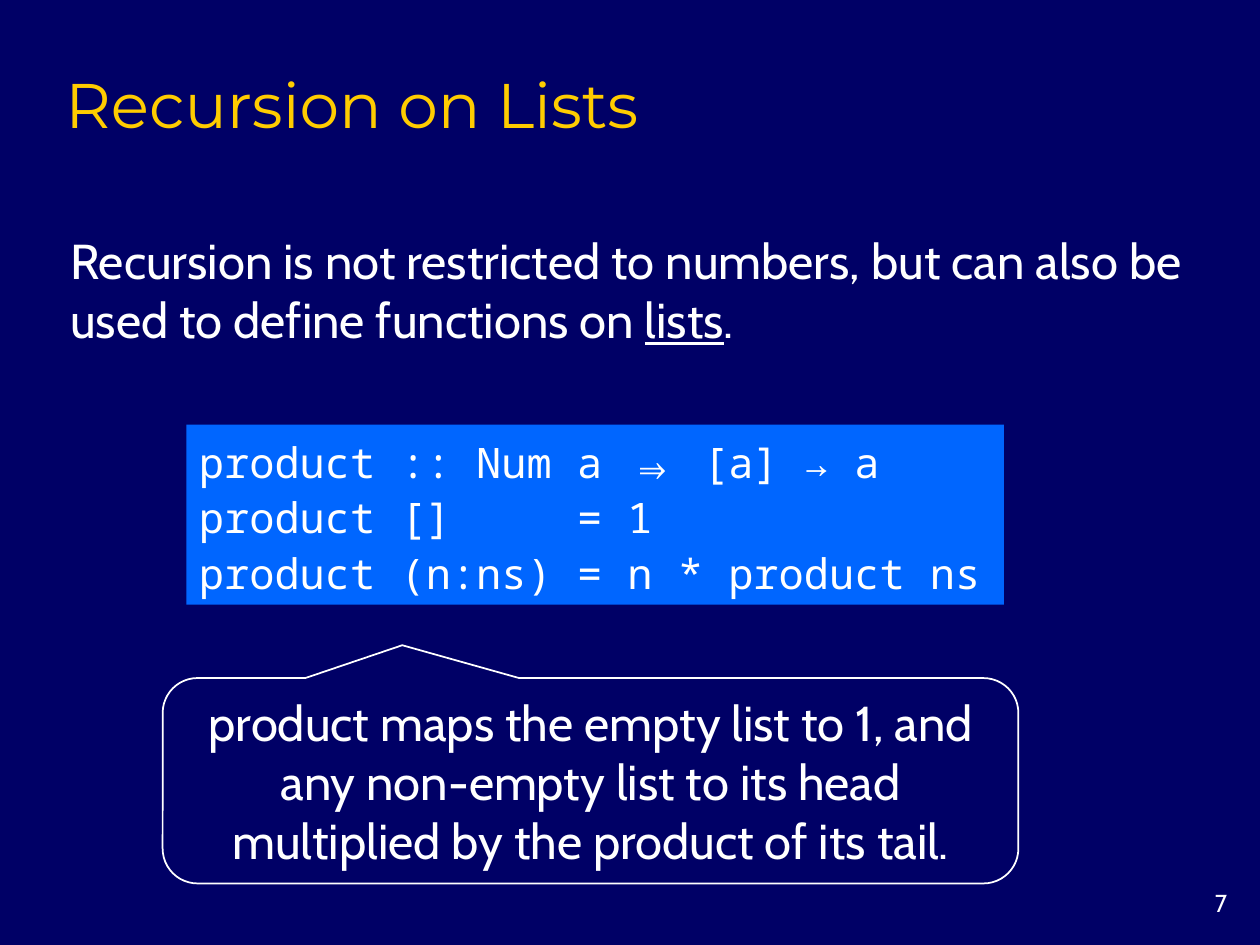
from pptx import Presentation
from pptx.dml.color import RGBColor
from pptx.enum.shapes import MSO_SHAPE
from pptx.enum.text import MSO_ANCHOR, PP_ALIGN
from pptx.util import Cm, Pt

TOP, MIDDLE, BOTTOM = MSO_ANCHOR.TOP, MSO_ANCHOR.MIDDLE, MSO_ANCHOR.BOTTOM
LEFT, CENTER, RIGHT = PP_ALIGN.LEFT, PP_ALIGN.CENTER, PP_ALIGN.RIGHT
RECTANGLE = MSO_SHAPE.RECTANGLE
CALLOUT = MSO_SHAPE.ROUNDED_RECTANGULAR_CALLOUT

NAVY, BLUE, GOLD, WHITE = "000066", "0066FF", "FFCC00", "FFFFFF"
BODY, HEADING, CODE = "Cabin", "Montserrat", "Noto Sans Mono"

# Content: each paragraph is a list of (text, underlined) runs
TITLE = [[("Recursion on Lists", False)]]
INTRO = [[
    ("Recursion is not restricted to numbers, but can also be "
     "used to define functions on ", False),
    ("lists", True),
    (".", False),
]]
PROGRAM = [
    [("product :: Num a ⇒ [a] → a", False)],
    [("product []     = 1", False)],
    [("product (n:ns) = n * product ns", False)],
]
REMARK = [[("product maps the empty list to 1, and any non-empty list to its "
            "head multiplied by the product of its tail.", False)]]
PAGE_NUMBER = [[("7", False)]]


def color(value):
    return RGBColor.from_string(value)


def write(shape, paragraphs, font, size, ink=WHITE, align=LEFT,
          anchor=MIDDLE, wrap=True, spacing=1.0):
    frame = shape.text_frame
    frame.word_wrap = wrap
    frame.vertical_anchor = anchor
    for index, runs in enumerate(paragraphs):
        para = frame.add_paragraph() if index else frame.paragraphs[0]
        para.alignment = align
        para.line_spacing = spacing
        for text, underlined in runs:
            span = para.add_run()
            span.text = text
            span.font.name = font
            span.font.size = Pt(size)
            span.font.underline = underlined
            span.font.color.rgb = color(ink)


def place(left, top, width, height):
    return Cm(left), Cm(top), Cm(width), Cm(height)


deck = Presentation()
deck.slide_width, deck.slide_height = Cm(25.4), Cm(19.05)
page = deck.slides.add_slide(deck.slide_layouts[6])
page.background.fill.solid()
page.background.fill.fore_color.rgb = color(NAVY)

# Page number, title and introduction
number_box = page.shapes.add_textbox(*place(23.29, 17.78, 1.7, 0.84))
write(number_box, PAGE_NUMBER, BODY, 14, align=RIGHT, anchor=TOP)
title_box = page.shapes.add_textbox(*place(1.07, 1.07, 21.59, 1.9))
write(title_box, TITLE, HEADING, 36, ink=GOLD, anchor=BOTTOM)
intro_box = page.shapes.add_textbox(*place(1.17, 4.52, 23.04, 2.62))
write(intro_box, INTRO, BODY, 28)

# Program panel
panel = page.shapes.add_shape(RECTANGLE, *place(3.76, 8.56, 16.48, 3.63))
panel.shadow.inherit = False
panel.fill.solid()
panel.fill.fore_color.rgb = color(BLUE)
panel.line.fill.background()
write(panel, PROGRAM, CODE, 24, wrap=False, spacing=1.1)

# Callout pointing up at the program
callout = page.shapes.add_shape(CALLOUT, *place(3.28, 13.67, 17.25, 4.14))
callout.shadow.inherit = False
callout.fill.background()
callout.line.color.rgb = color(WHITE)
callout.line.width = Pt(1)
for index, value in enumerate((-0.22, -0.66, 0.17)):
    callout.adjustments[index] = value
write(callout, REMARK, BODY, 28, align=CENTER)

deck.save("out.pptx")
